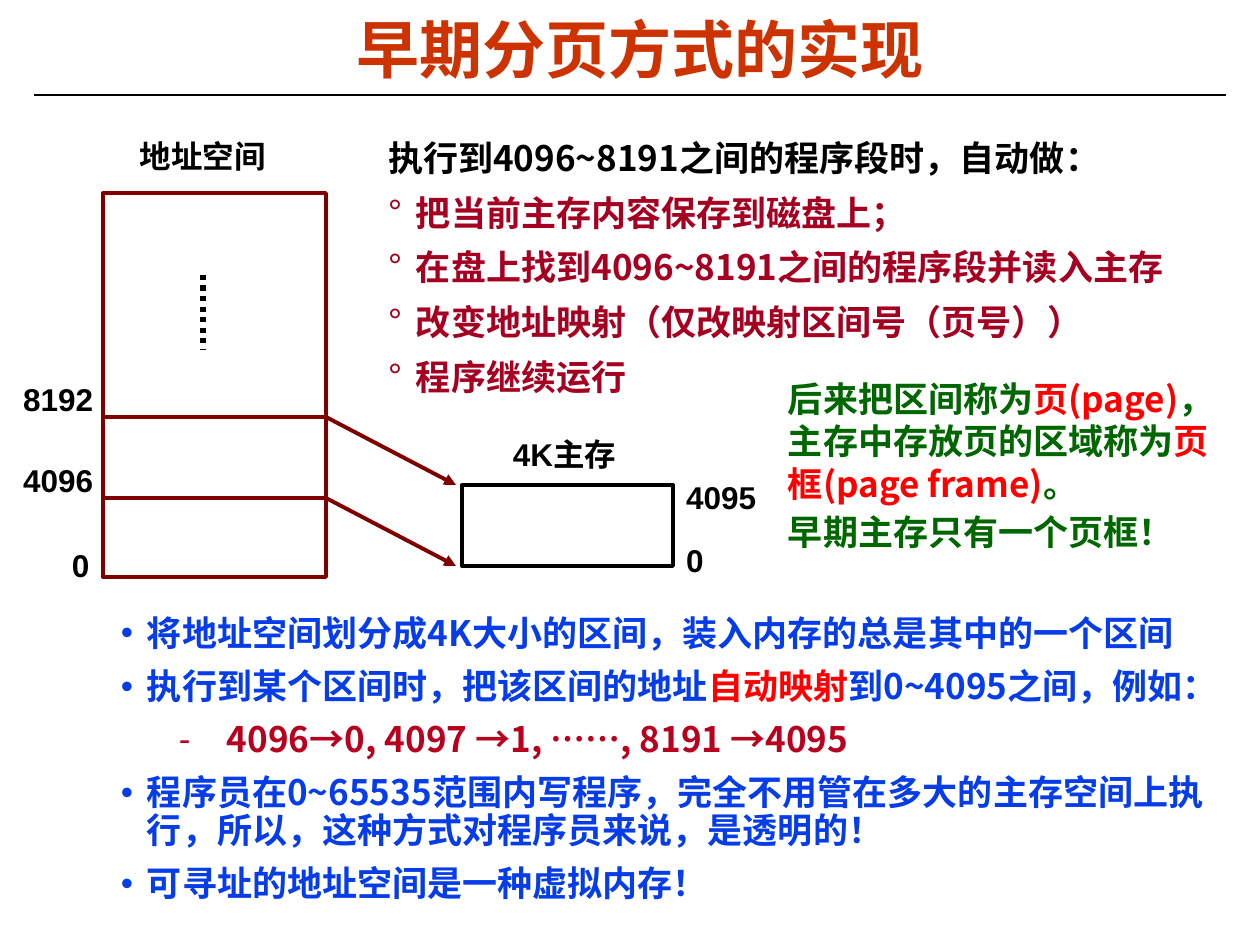
from pptx import Presentation
from pptx import util as u
from pptx.dml.color import RGBColor
from pptx.enum import dml, shapes, text
from pptx.oxml import ns, xmlchemy

EMU_PER_PX = 914400 / 126
ARIAL, NOTO = "Arial", "Noto Sans CJK SC"

BLACK = RGBColor(0x00, 0x00, 0x00)
WHITE = RGBColor(0xFF, 0xFF, 0xFF)
ORANGE = RGBColor(0xCC, 0x33, 0x00)
MAROON = RGBColor(0x80, 0x00, 0x00)
CRIMSON = RGBColor(0xA5, 0x00, 0x21)
ROSE = RGBColor(0xB7, 0x01, 0x1F)
BLUE = RGBColor(0x06, 0x3D, 0xE8)
GREEN = RGBColor(0x00, 0x66, 0x00)
RED = RGBColor(0xFF, 0x00, 0x00)

TITLE = {"name": ARIAL, "size": u.Pt(36), "bold": True}
LABEL = {"name": ARIAL, "size": u.Pt(18), "bold": True}
BODY = {"name": NOTO, "size": u.Pt(20), "bold": True}


def px(*lengths):
    return [round(length * EMU_PER_PX) for length in lengths]


def add_xml(parent, tag, **attributes):
    child = xmlchemy.OxmlElement(tag)
    for name, value in attributes.items():
        child.set(name, str(value))
    parent.append(child)
    return child


def set_all(target, values):
    for name, value in values.items():
        setattr(target, name, value)


def add_text(page, box, paras, font, layout=None, margins=(0, 0, 0, 0), anchor=text.MSO_ANCHOR.TOP):
    """Each para is a list of (words, colour) spans plus an optional (mark, colour, left, hang)."""
    frame = page.shapes.add_textbox(*px(*box)).text_frame
    left, top, right, bottom = px(*margins)
    set_all(frame, {"word_wrap": True, "vertical_anchor": anchor, "margin_left": left,
                    "margin_top": top, "margin_right": right, "margin_bottom": bottom})
    for index, (spans, bullet) in enumerate(paras):
        para = frame.add_paragraph() if index else frame.paragraphs[0]
        set_all(para, layout or {})
        if bullet:
            add_bullet(para, *bullet)
        for words, colour in spans:
            span = para.add_run()
            span.text = words
            set_all(span.font, font)
            span.font.color.rgb = colour
            add_xml(span.font._element, "a:ea", typeface=NOTO)
    return frame


def add_bullet(para, mark, colour, left, hang):
    props = para._p.get_or_add_pPr()
    margin, indent = px(left, -hang)
    props.set("marL", str(margin))
    props.set("indent", str(indent))
    add_xml(add_xml(props, "a:buClr"), "a:srgbClr", val=colour)
    add_xml(props, "a:buFont", typeface=ARIAL)
    add_xml(props, "a:buChar", char=mark)


def add_label(page, left, top, width, words):
    add_text(page, (left, top, width, 38), [([(words, BLACK)], None)], LABEL)


def add_line(page, start, end, colour, width, arrow=False, dash=None):
    line = page.shapes.add_connector(shapes.MSO_CONNECTOR.STRAIGHT, *px(*start, *end))
    line.line.color.rgb = colour
    line.line.width = u.Pt(width)
    if dash:
        line.line.dash_style = dash
    props = line._element.spPr
    if arrow:
        add_xml(props.find(ns.qn("a:ln")), "a:tailEnd", type="triangle")
    add_xml(props, "a:effectLst")


def add_block(page, box, colour):
    block = page.shapes.add_shape(shapes.MSO_SHAPE.RECTANGLE, *px(*box))
    block.shadow.inherit = False
    block.fill.solid()
    block.fill.fore_color.rgb = WHITE
    block.line.color.rgb = colour
    block.line.width = u.Pt(2.25)


def title_bar(page, box):
    left, top, width, height = box
    add_line(page, (left + 1, top + 80), (left + 1193, top + 80), BLACK, 1.5)
    add_text(page, box, [([("早期分页方式的实现", ORANGE)], None)], TITLE,
             {"alignment": text.PP_ALIGN.CENTER, "line_spacing": 0.87},
             anchor=text.MSO_ANCHOR.MIDDLE)


def address_space(page, box, marks):
    """Draws the column and a divider at each marked offset from its top."""
    left, top, width, height = box
    add_block(page, box, MAROON)
    add_label(page, left + 37, top - 56, 261, "地址空间")
    for words, offset in marks:
        add_line(page, (left, top + offset), (left + width, top + offset), MAROON, 2.25)
        add_label(page, left - 80, top + offset - 37, 93, words)
    add_label(page, left - 31, top + height - 31, 55, "0")
    add_line(page, (left + 100, top + 82), (left + 100, top + 156), BLACK, 3,
             dash=dml.MSO_LINE.ROUND_DOT)


def main_memory(page, box):
    left, top, width, height = box
    add_block(page, box, BLACK)
    add_label(page, left + 51, top - 50, 142, "4K主存")
    add_label(page, left + width + 13, top - 7, 93, "4095")
    add_label(page, left + width + 13, top + height - 25, 55, "0")


def paging_diagram(page, space, memory):
    offsets = (224, 305)
    address_space(page, space, zip(("8192", "4096"), offsets))
    main_memory(page, memory)
    left, top, width, _ = space
    for offset, end in zip(offsets, (memory[1], memory[1] + memory[3])):
        add_line(page, (left + width, top + offset), (memory[0] - 6, end), MAROON, 2.25, arrow=True)


def steps(page, box):
    actions = ["把当前主存内容保存到磁盘上；", "在盘上找到4096~8191之间的程序段并读入主存",
               "改变地址映射（仅改映射区间号（页号））", "程序继续运行"]
    paras = [([("执行到4096~8191之间的程序段时，自动做：", BLACK)], None)]
    paras += [([(action, CRIMSON)], ("°", CRIMSON, 28, 28)) for action in actions]
    add_text(page, box, paras, BODY, {"line_spacing": 1.3}, (13, 6, 13, 6))


def page_terms(page, box):
    definition = [("后来把区间称为", GREEN), ("页(page)", RED), ("，主存中存放页的区域称为", GREEN),
                  ("页框(page frame)", RED), ("。", GREEN)]
    add_text(page, box, [(definition, None), ([("早期主存只有一个页框！", GREEN)], None)],
             BODY, {"space_before": u.Pt(3.7)})


def summary(page, box):
    point, example = ("•", BLUE, 94, 26), ("-", ROSE, 174, 48)
    paras = [
        ([("将地址空间划分成4K大小的区间，装入内存的总是其中的一个区间", BLUE)], point),
        ([("执行到某个区间时，把该区间的地址", BLUE), ("自动映射", RED),
          ("到0~4095之间，例如：", BLUE)], point),
        ([("4096→0, 4097 →1, ……, 8191 →4095", ROSE)], example),
        ([("程序员在0~65535范围内写程序，完全不用管在多大的主存空间上执行，"
           "所以，这种方式对程序员来说，是透明的！", BLUE)], point),
        ([("可寻址的地址空间是一种虚拟内存！", BLUE)], point),
    ]
    add_text(page, box, paras, BODY, {"line_spacing": 0.9, "space_before": u.Pt(8.8)},
             (13, 50, 13, 6))


def main():
    deck = Presentation()
    deck.slide_width, deck.slide_height = px(1260, 945)
    page = deck.slides.add_slide(deck.slide_layouts[6])
    title_bar(page, (33, 15, 1213, 78))
    summary(page, (40, 566, 1179, 370))
    paging_diagram(page, space=(103, 193, 223, 384), memory=(462, 485, 211, 81))
    steps(page, (375, 118, 837, 354))
    page_terms(page, (788, 378, 446, 175))
    deck.save("out.pptx")


if __name__ == "__main__":
    main()
